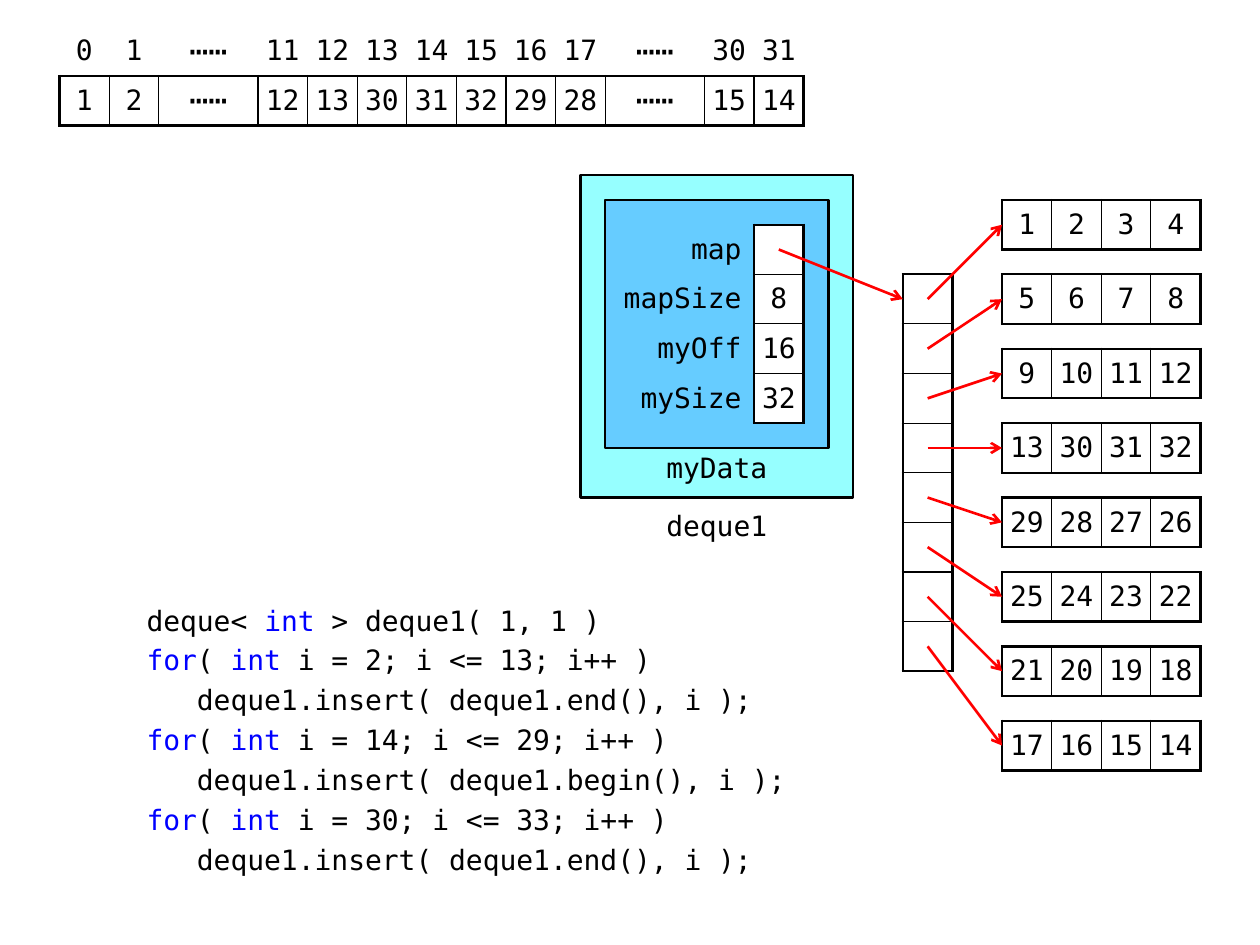
from lxml import etree
from pptx import Presentation
from pptx.dml.color import RGBColor
from pptx.enum.shapes import MSO_CONNECTOR, MSO_SHAPE
from pptx.enum.text import MSO_ANCHOR, MSO_AUTO_SIZE, PP_ALIGN
from pptx.oxml.ns import qn
from pptx.util import Cm, Inches, Pt

PROCESS = MSO_SHAPE.FLOWCHART_PROCESS
STRAIGHT = MSO_CONNECTOR.STRAIGHT
CENTER, RIGHT = PP_ALIGN.CENTER, PP_ALIGN.RIGHT
MIDDLE, TOP = MSO_ANCHOR.MIDDLE, MSO_ANCHOR.TOP

COLORS = {"ink": "000000", "keyword": "0000FF", "arrow": "FF0000",
          "paper": "FFFFFF", "object": "96FFFF", "data": "66CCFF"}
FONT = "DejaVu Sans Mono"
DOTS = "⋯⋯"
THIN, THICK = 0.75, 1.5
SIDES = {"lnL": (0, -1), "lnR": (0, 1), "lnT": (-1, 0), "lnB": (1, 0)}

INDEXES = ["0", "1", DOTS, "11", "12", "13", "14", "15", "16", "17", DOTS, "30", "31"]
VALUES = ["1", "2", DOTS, "12", "13", "30", "31", "32", "29", "28", DOTS, "15", "14"]
MEMBERS = [["map", ""], ["mapSize", "8"], ["myOff", "16"], ["mySize", "32"]]
BLOCKS = [
    [1, 2, 3, 4], [5, 6, 7, 8], [9, 10, 11, 12], [13, 30, 31, 32],
    [29, 28, 27, 26], [25, 24, 23, 22], [21, 20, 19, 18], [17, 16, 15, 14],
]
KEYWORDS = ("int", "for")
CODE = [
    "deque< |int| > deque1( 1, 1 )",
    "for|( |int| i = 2; i <= 13; i++ )",
    "   deque1.insert( deque1.end(), i );",
    "for|( |int| i = 14; i <= 29; i++ )",
    "   deque1.insert( deque1.begin(), i );",
    "for|( |int| i = 30; i <= 33; i++ )",
    "   deque1.insert( deque1.end(), i );",
]
FRAMES = [(11.5, 3, 5.5, 6.5, "object"), (12, 3.5, 4.5, 5, "data")]
LABELS = [("deque1", 12.5, 9.5, 3.5, MIDDLE, 0.04), ("myData", 13, 8.5, 2.5, TOP, 0.02)]
MAP_COLUMN, MAP_ROW = 18, 5
BLOCK_COLUMN, BLOCK_ROW, BLOCK_STEP = 20, 3.5, 1.5


def color(name):
    return RGBColor.from_string(COLORS[name])


def spot(column, row):
    return Cm(0.2 + column), Cm(0.53 + row)


def style(font, size=16, ink="ink"):
    font.name, font.size, font.bold = FONT, Pt(size), False
    font.color.rgb = color(ink)


def add_border(cell, side, width):
    line = etree.SubElement(cell._tc.get_or_add_tcPr(), qn(f"a:{side}"))
    if not width:
        etree.SubElement(line, qn("a:noFill"))
        return
    line.set("w", str(Pt(width)))
    fill = etree.SubElement(line, qn("a:solidFill"))
    etree.SubElement(fill, qn("a:srgbClr"), val=COLORS["ink"])


def add_grid(page, rows, column, row, widths, boxed_from=(0, 0), side_margin=0.04):
    count = len(rows), len(widths)
    frame = page.shapes.add_table(*count, *spot(column, row), Cm(sum(widths)), Cm(count[0]))
    table = frame.table
    table.first_row = table.horz_banding = False
    for table_column, width in zip(table.columns, widths):
        table_column.width = Cm(width)

    def boxed(r, c):
        return boxed_from[0] <= r < count[0] and boxed_from[1] <= c < count[1]

    for r, texts in enumerate(rows):
        table.rows[r].height = Cm(1)
        for c, text in enumerate(texts):
            cell = table.cell(r, c)
            inside = boxed(r, c)
            for side, (down, across) in SIDES.items():
                edges = inside + boxed(r + down, c + across)
                add_border(cell, side, (None, THICK, THIN)[edges])
            if inside:
                cell.fill.solid()
                cell.fill.fore_color.rgb = color("paper")
            else:
                cell.fill.background()
            label = c < boxed_from[1]
            cell.margin_left = cell.margin_right = Inches(0.1 if label else side_margin)
            cell.margin_top = cell.margin_bottom = Inches(0.04)
            cell.vertical_anchor = MIDDLE
            para = cell.text_frame.paragraphs[0]
            para.text = str(text)
            para.alignment = RIGHT if label else CENTER
            style(para.font, 18 if text == DOTS else 16)


def add_arrow(page, start, end):
    arrow = page.shapes.add_connector(STRAIGHT, *spot(*start), *spot(*end))
    arrow.line.color.rgb = color("arrow")
    arrow.line.width = Pt(THICK)
    etree.SubElement(arrow.line._get_or_add_ln(), qn("a:tailEnd"), type="arrow")
    etree.SubElement(arrow._element.spPr, qn("a:effectLst"))


def add_frame(page, column, row, width, height, fill):
    box = page.shapes.add_shape(PROCESS, *spot(column, row), Cm(width), Cm(height))
    box.shadow.inherit = False
    box.fill.solid()
    box.fill.fore_color.rgb = color(fill)
    box.line.color.rgb = color("ink")
    box.line.width = Pt(THICK)


def add_label(page, text, column, row, width, anchor, margin_top):
    box = page.shapes.add_textbox(*spot(column, row), Cm(width), Cm(1))
    frame = box.text_frame
    frame.word_wrap = True
    frame.vertical_anchor = anchor
    frame.margin_left = frame.margin_right = Inches(0.08)
    frame.margin_top, frame.margin_bottom = Inches(margin_top), 0
    para = frame.paragraphs[0]
    para.text = text
    para.alignment = CENTER
    style(para.font)


def add_code(box):
    box.left, box.top = spot(2.5, 11.5)
    box.width, box.height = Cm(13.5), Cm(5.5)
    frame = box.text_frame
    frame.word_wrap = True
    frame.auto_size = MSO_AUTO_SIZE.NONE
    frame.vertical_anchor = TOP
    for number, line in enumerate(CODE):
        para = frame.add_paragraph() if number else frame.paragraphs[0]
        para.space_before = Pt(3.6)
        properties = para._p.get_or_add_pPr()
        properties.set("marL", "0")
        properties.set("indent", "0")
        etree.SubElement(properties, qn("a:buNone"))
        for text in line.split("|"):
            span = para.add_run()
            span.text = text
            style(span.font, ink="keyword" if text in KEYWORDS else "ink")


def main():
    deck = Presentation()
    deck.slide_width, deck.slide_height = Inches(10), Inches(7.5)
    page = deck.slides.add_slide(deck.slide_layouts[1])
    title = page.shapes.title._element
    title.getparent().remove(title)
    add_code(page.placeholders[1])

    widths = [2 if text == DOTS else 1 for text in INDEXES]
    add_grid(page, [INDEXES, VALUES], 1, 0, widths, boxed_from=(1, 0))
    for frame in FRAMES:
        add_frame(page, *frame)
    for label in LABELS:
        add_label(page, *label)
    add_grid(page, MEMBERS, 12, 4, [3, 1], boxed_from=(0, 1), side_margin=0)
    add_grid(page, [[""]] * len(BLOCKS), MAP_COLUMN, MAP_ROW, [1])
    for number, block in enumerate(BLOCKS):
        row = BLOCK_ROW + BLOCK_STEP * number
        add_grid(page, [block], BLOCK_COLUMN, row, [1] * len(block))
        add_arrow(page, (MAP_COLUMN + 0.5, MAP_ROW + number + 0.5), (BLOCK_COLUMN, row + 0.5))
    add_arrow(page, (15.5, 4.5), (MAP_COLUMN, MAP_ROW + 0.5))
    deck.save("out.pptx")


if __name__ == "__main__":
    main()
